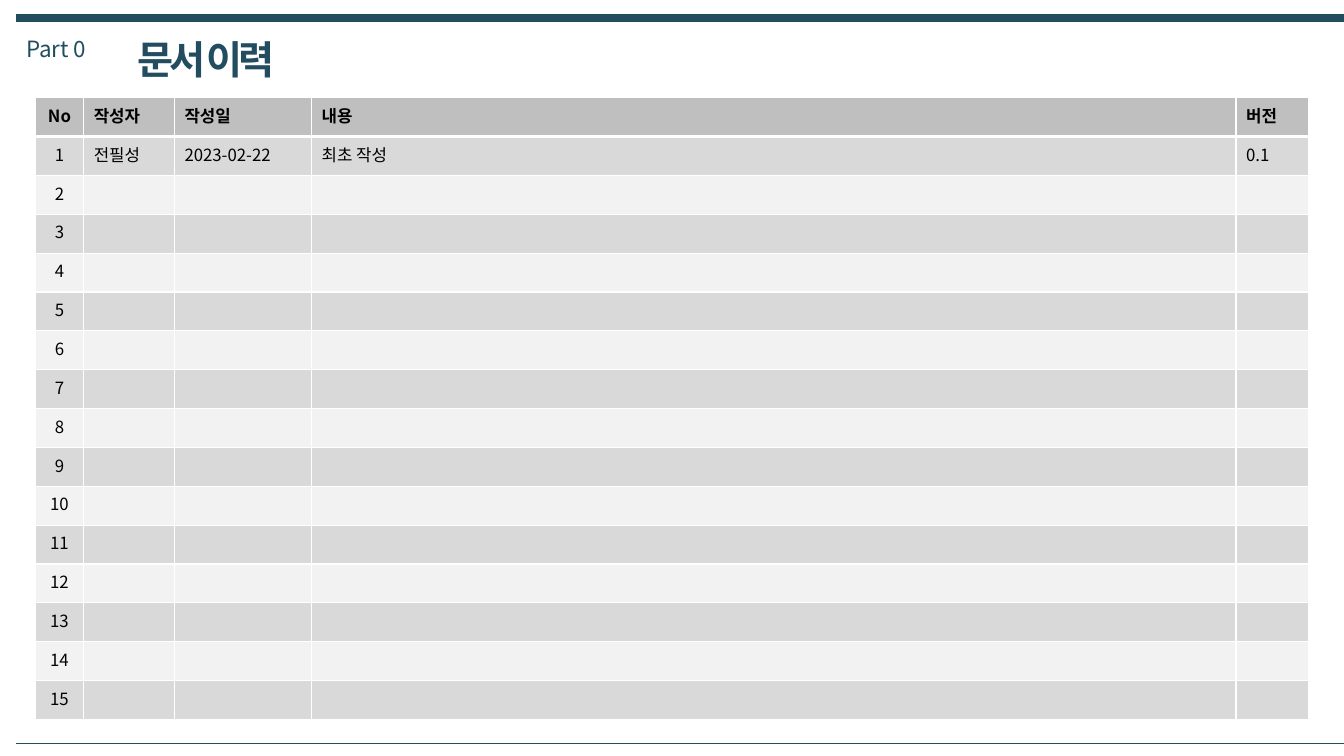
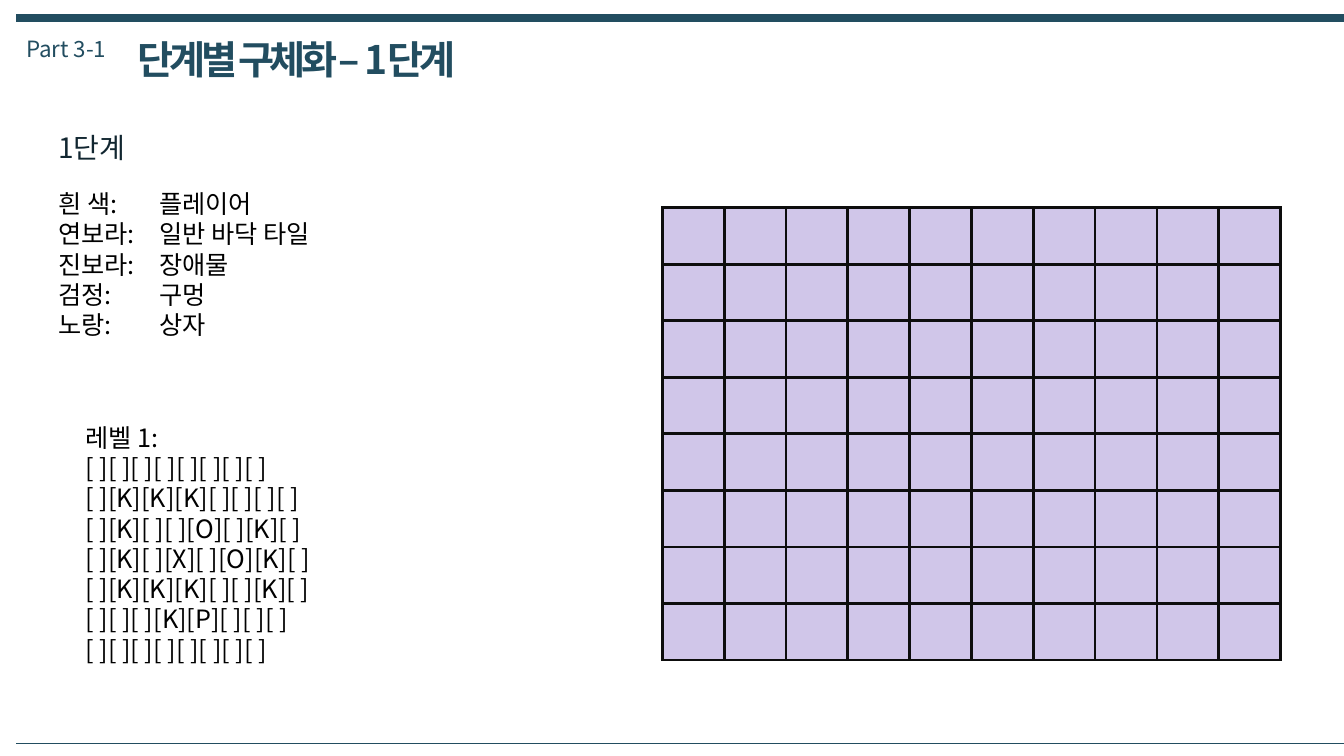
from dataclasses import dataclass

from lxml.etree import SubElement
from pptx import Presentation
from pptx.dml.color import RGBColor as Color
from pptx.enum.shapes import MSO_CONNECTOR as Connector
from pptx.enum.text import MSO_ANCHOR as Anchor, MSO_AUTO_SIZE as AutoSize, PP_ALIGN as Align
from pptx.oxml.ns import qn
from pptx.util import Inches, Pt


@dataclass(frozen=True)
class Theme:
    font: str = "Noto Sans CJK KR"
    teal: str = "224D60"
    heading: str = "112630"
    black: str = "000000"
    white: str = "FFFFFF"
    header: str = "BFBFBF"
    bands: tuple = ("D9D9D9", "F2F2F2")
    tile: str = "D0C6E9"
    grid: str = "0D0D0D"
    title_size: int = 28
    heading_size: int = 20
    body_size: int = 18
    part_size: int = 16
    cell_size: int = 12
    title_tracking: int = -300
    line_height: float = 1.2


class SlideBuilder:
    def __init__(self, deck, theme):
        self.deck = deck
        self.theme = theme
        self.page = None

    def new_page(self, part, title):
        """Start a page with the shared rules, part label and title."""
        theme = self.theme
        self.page = self.deck.slides.add_slide(self.deck.slide_layouts[6])
        self.rule(0.18, 6)
        self.text(0.16, 0.3, 1.18, 0.37, [part], theme.part_size, theme.teal)
        self.text(1.27, 0.3, 3.35, 0.57, [title], theme.title_size, theme.teal,
                  bold=True, tracking=theme.title_tracking)
        self.rule(7.37, 0.25)

    def rule(self, top, weight):
        line = self.page.shapes.add_connector(
            Connector.STRAIGHT, Inches(0.16), Inches(top), Inches(13.33), Inches(top))
        line.line.color.rgb = Color.from_string(self.theme.teal)
        line.line.width = Pt(weight)
        SubElement(line._element.spPr, qn("a:effectLst"))

    def span(self, para, words, size, color, bold=False, tracking=0):
        para.line_spacing = Pt(size * self.theme.line_height)
        span = para.add_run()
        span.text = words
        span.font.size = Pt(size)
        span.font.bold = bold
        span.font.color.rgb = Color.from_string(color)
        span.font.name = self.theme.font
        properties = span._r.get_or_add_rPr()
        SubElement(properties, qn("a:ea"), typeface=self.theme.font)
        if tracking:
            properties.set("spc", str(tracking))

    def text(self, left, top, width, height, lines, size, color,
             align=Align.LEFT, **style):
        box = self.page.shapes.add_textbox(
            Inches(left), Inches(top), Inches(width), Inches(height))
        frame = box.text_frame
        frame.word_wrap = True
        frame.auto_size = AutoSize.SHAPE_TO_FIT_TEXT
        for index, words in enumerate(lines):
            para = frame.paragraphs[0] if index == 0 else frame.add_paragraph()
            para.alignment = align
            self.span(para, words, size, color, **style)

    def table(self, left, top, widths, row_height, row_count):
        table = self.page.shapes.add_table(
            row_count, len(widths), Inches(left), Inches(top),
            Inches(sum(widths)), Inches(row_height * row_count)).table
        for column, width in zip(table.columns, widths):
            column.width = Inches(width)
        for row in table.rows:
            row.height = Inches(row_height)
        return table

    def cell(self, cell, fill, border, weights, words="", align=Align.LEFT, bold=False):
        """Style one cell; weights run left, right, top, bottom."""
        properties = cell._tc.get_or_add_tcPr()
        for side, weight in zip("LRTB", weights):
            edge = SubElement(properties, qn(f"a:ln{side}"), w=str(Pt(weight)))
            SubElement(SubElement(edge, qn("a:solidFill")), qn("a:srgbClr"), val=border)
        cell.fill.solid()
        cell.fill.fore_color.rgb = Color.from_string(fill)
        cell.vertical_anchor = Anchor.MIDDLE
        para = cell.text_frame.paragraphs[0]
        para.alignment = align
        size = self.theme.cell_size
        if words:
            self.span(para, words, size, self.theme.black, bold)
        else:
            SubElement(para._p, qn("a:endParaRPr"), sz=str(size * 100))

    def history(self, left, top, widths, row_height, rows):
        """Banded table with a bold header and a centred first column."""
        theme = self.theme
        table = self.table(left, top, widths, row_height, len(rows))
        for r, row in enumerate(rows):
            fill = theme.bands[(r - 1) % 2] if r else theme.header
            weights = (1, 1, 3 if r == 1 else 1, 3 if r == 0 else 1)
            for c, words in enumerate(row):
                self.cell(table.cell(r, c), fill, theme.white, weights, words,
                          Align.LEFT if c else Align.CENTER, bold=r == 0)

    def board(self, left, top, width, height, columns, rows):
        """Grid of equal, empty tiles."""
        table = self.table(left, top, [width / columns] * columns, height / rows, rows)
        for cell in table.iter_cells():
            self.cell(cell, self.theme.tile, self.theme.grid, [2.25] * 4)


def main():
    deck = Presentation()
    deck.slide_width = Inches(13.33)
    deck.slide_height = Inches(7.5)
    theme = Theme()
    builder = SlideBuilder(deck, theme)

    # Document history
    builder.new_page("Part 0", "문서 이력")
    rows = [
        ["No", "작성자", "작성일", "내용", "버전"],
        ["1", "전필성", "2023-02-22", "최초 작성", "0.1"],
    ]
    rows += [[str(number), "", "", "", ""] for number in range(2, 16)]
    builder.history(0.35, 0.97, [0.48, 0.9, 1.36, 9.17, 0.72], 6.17 / 16, rows)

    # Stage 1: legend, board and level map
    builder.new_page("Part 3-1", "단계별 구체화 – 1단계")
    builder.text(0.48, 1.25, 5.47, 0.44, ["1단계"], theme.heading_size,
                 theme.heading, Align.JUSTIFY)
    legend = {
        "흰 색": "플레이어",
        "연보라": "일반 바닥 타일",
        "진보라": "장애물",
        "검정": "구멍",
        "노랑": "상자",
    }
    builder.text(0.48, 1.82, 3.05, 1.62,
                 [f"{name}:\t{meaning}" for name, meaning in legend.items()],
                 theme.body_size, theme.black)
    builder.board(6.57, 2.06, 6.13, 4.49, columns=10, rows=8)
    level = ["        ", " KKK    ", " K  O K ", " K X OK ",
             " KKK  K ", "   KP   ", "        "]
    level_lines = ["".join(f"[{tile}]" for tile in row) for row in level]
    builder.text(0.75, 4.14, 6.7, 2.52, ["레벨 1:"] + level_lines,
                 theme.body_size, theme.black)

    deck.save("out.pptx")


if __name__ == "__main__":
    main()
